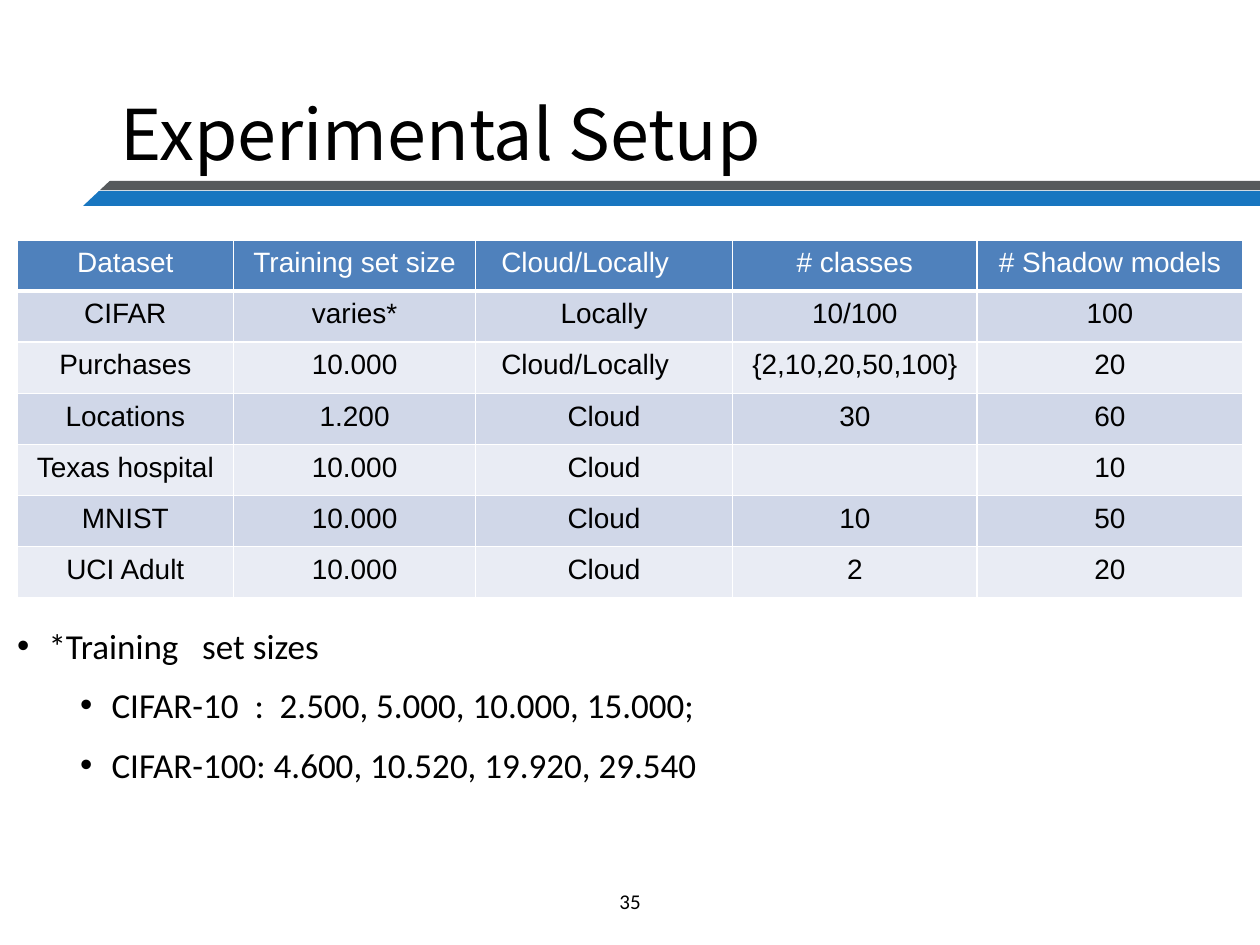
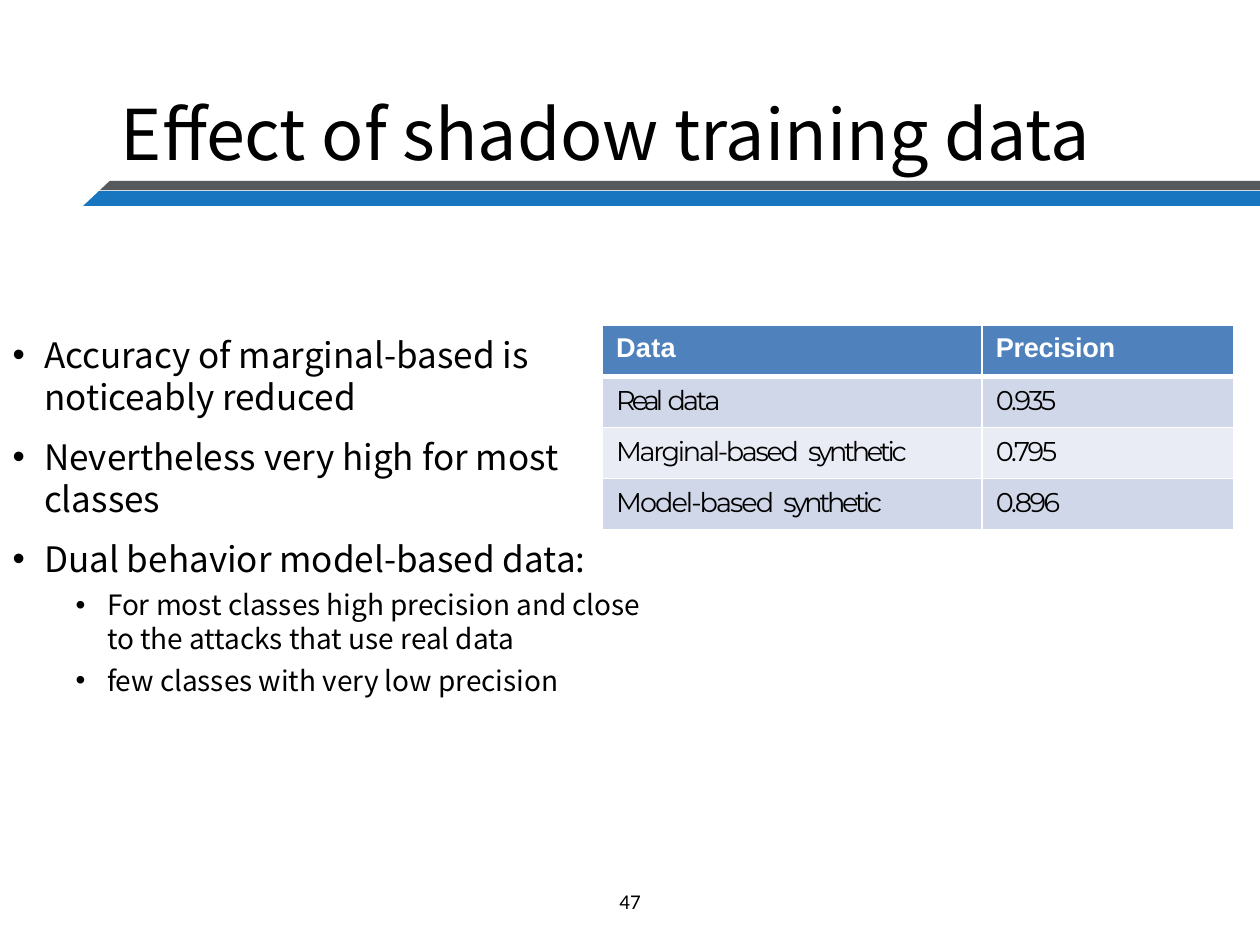
from lxml.etree import SubElement
from pptx import Presentation
from pptx.dml.color import RGBColor
from pptx.enum.shapes import MSO_SHAPE
from pptx.enum.text import MSO_ANCHOR, MSO_AUTO_SIZE, PP_ALIGN
from pptx.oxml.ns import qn
from pptx.util import Inches, Pt

COLORS = {
    "background": "FFFFFF",
    "text": "000000",
    "blue_band": "1876C0",
    "grey_band": "565A5C",
    "header": "4F81BC",
    "odd_row": "D0D7E8",
    "even_row": "E9ECF4",
    "rule": "FFFFFF",
}
TITLE_FONT = "Noto Sans CJK KR"
NOTE_FONT = "Calibri"
TABLE_FONT = "Arial"
SYNTHETIC_FONT = "Montserrat"

SLIDE_WIDTH, SLIDE_HEIGHT = Inches(10), Inches(7.5)
UNIT = SLIDE_WIDTH / 100  # the slide is a grid of 100 columns and 75 rows

TITLE_AREA = (8.6, 4.75, 86.2, 9.7)
NUMBER_AREA = (38.75, 69.5, 22.5, 4)
BANDS = [  # grid area, colour, rotation
    ((1.6, 15.15, 98.4, 1.2), "blue_band", 0),
    ((1.6, 14.35, 98.4, 0.75), "grey_band", 0),
    ((3.15, 7.5, 5.6, 11.2), "background", 46.8),
]

SETUP_ROWS = [
    ["Dataset", "Training set size", "Cloud/Locally", "# classes", "# Shadow models"],
    ["CIFAR", "varies*", "Locally", "10/100", "100"],
    ["Purchases", "10.000", "Cloud/Locally", "{2,10,20,50,100}", "20"],
    ["Locations", "1.200", "Cloud", "30", "60"],
    ["Texas hospital", "10.000", "Cloud", "", "10"],
    ["MNIST", "10.000", "Cloud", "10", "50"],
    ["UCI Adult", "10.000", "Cloud", "2", "20"],
]
TRAINING_SIZES = [
    (0, "*Training   set sizes"),
    (1, "CIFAR-10  :  2.500, 5.000, 10.000, 15.000;"),
    (1, "CIFAR-100: 4.600, 10.520, 19.920, 29.540"),
]

# Each cell is a list of (text, letter spacing in points)
PRECISION_ROWS = [
    [[("Data", 0.2)], [("Precision", -0.2)]],
    [[("Real", -2.2), (" data", -1.6)], [("0.935", -1.4)]],
    [[("Marginal-based", -1.3), (" ", 1.2), ("synthetic", -1.9)], [("0.795", -1.4)]],
    [[("Model-based", -1.1), (" ", 1.2), ("synthetic", -1.9)], [("0.896", -1.4)]],
]
FINDINGS = [
    (0, "Accuracy of marginal-based is noticeably reduced"),
    (0, "Nevertheless very high for most classes"),
    (0, "Dual behavior model-based data:"),
    (1, "For most classes high precision and close to the attacks that use real data"),
    (1, "few classes with very low precision"),
]


def color(name):
    return RGBColor.from_string(COLORS[name])


def grid(*cells):
    return [round(cell * UNIT) for cell in cells]


def place(shape, area):
    shape.left, shape.top, shape.width, shape.height = grid(*area)


def write(paragraph, text, font, size, ink="text", bold=False, tracking=0,
          align=PP_ALIGN.LEFT, before=0, spacing=None):
    """Append a formatted run and set the format of its paragraph."""
    paragraph.alignment = align
    paragraph.space_before = Pt(before)
    if spacing:
        paragraph.line_spacing = spacing
    run = paragraph.add_run()
    run.text = text
    run.font.name, run.font.size, run.font.bold = font, Pt(size), bold
    run.font.color.rgb = color(ink)
    if tracking:
        run.font._element.set("spc", str(round(tracking * 100)))


def indent(paragraph, left, first=0, right=0):
    properties = paragraph._p.get_or_add_pPr()
    for name, inches in (("marL", left), ("indent", first), ("marR", right)):
        properties.set(name, str(Inches(inches)))
    return properties


def set_insets(target, left, top, right, bottom):
    target.margin_left, target.margin_top = Inches(left), Inches(top)
    target.margin_right, target.margin_bottom = Inches(right), Inches(bottom)


def build_layout(layout, drawing_slide):
    """Give the layout its title area and its bands, drawn behind everything."""
    place(layout.placeholders[0], TITLE_AREA)
    tree = layout.shapes.element
    for order, (area, fill, rotation) in enumerate(BANDS):
        band = drawing_slide.shapes.add_shape(MSO_SHAPE.RECTANGLE, *grid(*area))
        band.rotation = rotation
        band.shadow.inherit = False
        band.fill.solid()
        band.fill.fore_color.rgb = color(fill)
        band.line.fill.background()
        band.element.nvSpPr.cNvPr.set("id", str(20 + order))
        tree.insert(2 + order, band.element)


def add_title(slide, text):
    frame = slide.shapes.title.text_frame
    frame.auto_size = MSO_AUTO_SIZE.NONE
    frame.vertical_anchor = MSO_ANCHOR.BOTTOM
    write(frame.paragraphs[0], text, TITLE_FONT, 40, spacing=0.9)


def add_number(slide, number):
    frame = slide.shapes.add_textbox(*grid(*NUMBER_AREA)).text_frame
    frame.word_wrap = True
    frame.vertical_anchor = MSO_ANCHOR.MIDDLE
    write(frame.paragraphs[0], number, NOTE_FONT, 12, align=PP_ALIGN.CENTER)


def add_list(slide, area, items, font, sizes, before, insets=None):
    """Fill the body placeholder; sizes and before hold one value per level."""
    body = slide.placeholders[1]
    place(body, area)
    frame = body.text_frame
    frame.auto_size = MSO_AUTO_SIZE.NONE
    if insets:
        set_insets(frame, *insets)
    for order, (level, text) in enumerate(items):
        paragraph = frame.add_paragraph() if order else frame.paragraphs[0]
        paragraph.level = level
        write(paragraph, text, font, sizes[level], before=before[level], spacing=1.0)
        properties = indent(paragraph, 0.25 + 0.5 * level, -0.25)
        SubElement(properties, qn("a:buFont"), typeface="Arial")
        SubElement(properties, qn("a:buChar"), char="•")


def add_borders(cell, top, bottom):
    properties = cell._tc.get_or_add_tcPr()
    for order, (side, points) in enumerate(zip("LRTB", (1, 1, top, bottom))):
        line = SubElement(properties, qn(f"a:ln{side}"), w=str(Pt(points)))
        fill = SubElement(line, qn("a:solidFill"))
        SubElement(fill, qn("a:srgbClr"), val=COLORS["rule"])
        properties.insert(order, line)


def add_banded_table(slide, area, column_widths, rows, fill_cell):
    """Add a table whose cell texts are written by fill_cell(paragraph, content, is_header)."""
    table = slide.shapes.add_table(len(rows), len(column_widths), *grid(*area)).table
    for column, width in zip(table.columns, grid(*column_widths)):
        column.width = width
    for r, row in enumerate(rows):
        band = "header" if r == 0 else "odd_row" if r % 2 else "even_row"
        for c, content in enumerate(row):
            cell = table.cell(r, c)
            set_insets(cell, 0, 0.06, 0, 0)
            cell.fill.solid()
            cell.fill.fore_color.rgb = color(band)
            add_borders(cell, top=3 if r == 1 else 1, bottom=3 if r == 0 else 1)
            if content:
                fill_cell(cell.text_frame.paragraphs[0], content, r == 0)


def write_setup_cell(paragraph, text, is_header):
    write(paragraph, text, TABLE_FONT, 16, ink="background" if is_header else "text",
          align=PP_ALIGN.CENTER, before=10)
    if text == "Cloud/Locally":
        indent(paragraph, 0, right=0.3)


def write_precision_cell(paragraph, pieces, is_header):
    for text, tracking in pieces:
        write(paragraph, text, TABLE_FONT if is_header else SYNTHETIC_FONT, 15.5,
              ink="background" if is_header else "text", bold=is_header,
              tracking=tracking, before=4.2)
    indent(paragraph, 0.11)


def main():
    deck = Presentation()
    deck.slide_width, deck.slide_height = SLIDE_WIDTH, SLIDE_HEIGHT
    layout = deck.slide_layouts[1]
    setup, effect = (deck.slides.add_slide(layout) for _ in range(2))
    build_layout(layout, setup)

    add_title(setup, "Experimental Setup")
    add_list(setup, (1.35, 49.15, 85.8, 13.3), TRAINING_SIZES, NOTE_FONT,
             sizes=(20, 20), before=(10, 10), insets=(0, 0.04, 0, 0))
    add_banded_table(setup, (1.35, 19.05, 97.3, 28.4), (17.2, 19.2, 20.4, 19.4, 21.1),
                     SETUP_ROWS, write_setup_cell)
    add_number(setup, "35")

    add_title(effect, "Effect of shadow training data")
    add_list(effect, (0, 26, 53.3, 39.2), FINDINGS, TITLE_FONT,
             sizes=(20, 16), before=(10, 5))
    add_banded_table(effect, (47.8, 25.85, 50.1, 16.2), (30.15, 19.95),
                     PRECISION_ROWS, write_precision_cell)
    add_number(effect, "47")

    deck.save("out.pptx")


if __name__ == "__main__":
    main()
